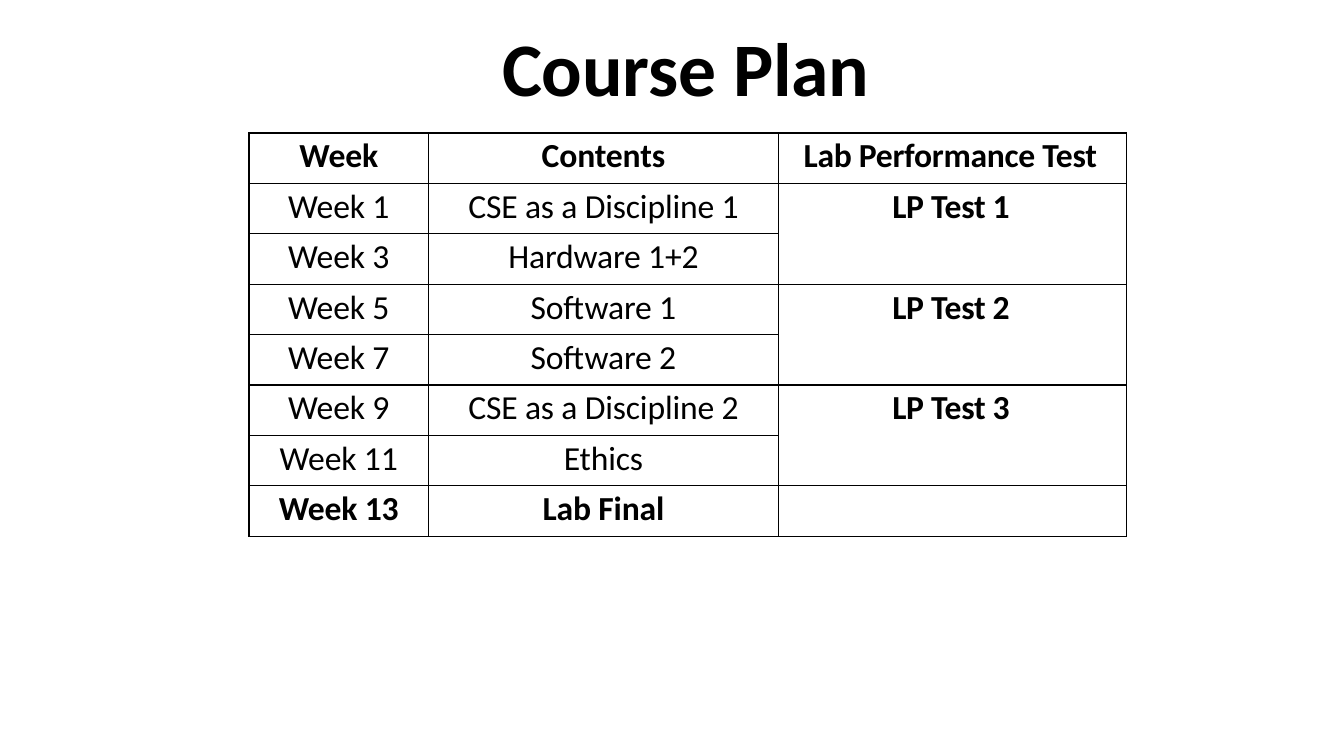
from lxml.etree import SubElement
from pptx import Presentation
from pptx.dml.color import RGBColor
from pptx.enum.text import MSO_ANCHOR as Anchor, MSO_AUTO_SIZE as Auto, PP_ALIGN as Align
from pptx.oxml import parse_xml
from pptx.oxml.ns import nsdecls, qn
from pptx.util import Inches, Pt

WIDE, HIGH = 13.33, 7.5
INK = "000000"
LEFT, TOP = 2.47, 1.32
COLS = [1.78, 3.47, 3.45]
ROW = 0.5
PLAN = [
    ("Week", "Contents", "Lab Performance Test"),
    ("Week 1", "CSE as a Discipline 1", "LP Test 1"),
    ("Week 3", "Hardware 1+2", ""),
    ("Week 5", "Software 1", "LP Test 2"),
    ("Week 7", "Software 2", ""),
    ("Week 9", "CSE as a Discipline 2", "LP Test 3"),
    ("Week 11", "Ethics", ""),
    ("Week 13", "Lab Final", ""),
]


def color(code):
    return RGBColor.from_string(code)


def style(para, size, bold, space):
    """Format each run; space is the letter spacing in points."""
    for run in para.runs:
        font = run.font
        font.name, font.size, font.bold = "Calibri", Pt(size), bold
        font.color.rgb = color(INK)
        run._r.get_or_add_rPr().set("spc", str(round(space * 100)))


def indent(para, inches):
    para._p.get_or_add_pPr().set("marL", str(Inches(inches)))


def border(cell):
    props = cell._tc.get_or_add_tcPr()
    for i, side in enumerate("LRTB"):
        line = parse_xml(f'<a:ln{side} {nsdecls("a")} w="{Pt(1)}"/>')
        fill = SubElement(line, qn("a:solidFill"))
        SubElement(fill, qn("a:srgbClr")).set("val", INK)
        props.insert(i, line)


def add_title(slide, text):
    title = slide.shapes.title
    title.left, title.top = Inches(4.97), Inches(0.2)
    title.width, title.height = Inches(3.69), Inches(0.93)
    frame = title.text_frame
    frame.text = text
    frame.margin_left = frame.margin_right = frame.margin_bottom = 0
    frame.margin_top = Inches(0.01)
    frame.vertical_anchor = Anchor.TOP
    frame.word_wrap, frame.auto_size = True, Auto.SHAPE_TO_FIT_TEXT
    para = frame.paragraphs[0]
    para.alignment, para.space_before = Align.LEFT, Pt(1)
    indent(para, 0.01)
    style(para, 54, True, -0.15)


def fill_cell(cell, text, bold, inset):
    """Write one cell, centred unless a left inset is given."""
    cell.margin_left = cell.margin_right = cell.margin_bottom = 0
    cell.margin_top = Inches(0.03)
    cell.fill.background()
    border(cell)
    cell.text = text
    para = cell.text_frame.paragraphs[0]
    para.space_before = Pt(2)
    if inset:
        para.alignment = Align.LEFT
        indent(para, inset)
    else:
        para.alignment = Align.CENTER
    style(para, 24, bold, -0.2 if inset else -0.1)


def add_plan(slide):
    count = len(PLAN)
    frame = slide.shapes.add_table(
        count, len(COLS), Inches(LEFT), Inches(TOP),
        Inches(sum(COLS)), Inches(ROW * count))
    table = frame.table
    table.first_row = table.horz_banding = False
    for col, width in zip(table.columns, COLS):
        col.width = Inches(width)
    for r, texts in enumerate(PLAN):
        table.rows[r].height = Inches(ROW)
        for c, text in enumerate(texts):
            bold = r in (0, count - 1) or c == 2
            inset = 0 if c < 2 else 1.13 if r else 0.25
            fill_cell(table.cell(r, c), text, bold, inset)
    for r in range(1, count - 1, 2):
        table.cell(r, 2).merge(table.cell(r + 1, 2))


def main():
    deck = Presentation()
    deck.slide_width, deck.slide_height = Inches(WIDE), Inches(HIGH)
    slide = deck.slides.add_slide(deck.slide_layouts[5])
    add_title(slide, "Course Plan")
    add_plan(slide)
    deck.save("out.pptx")


if __name__ == "__main__":
    main()
